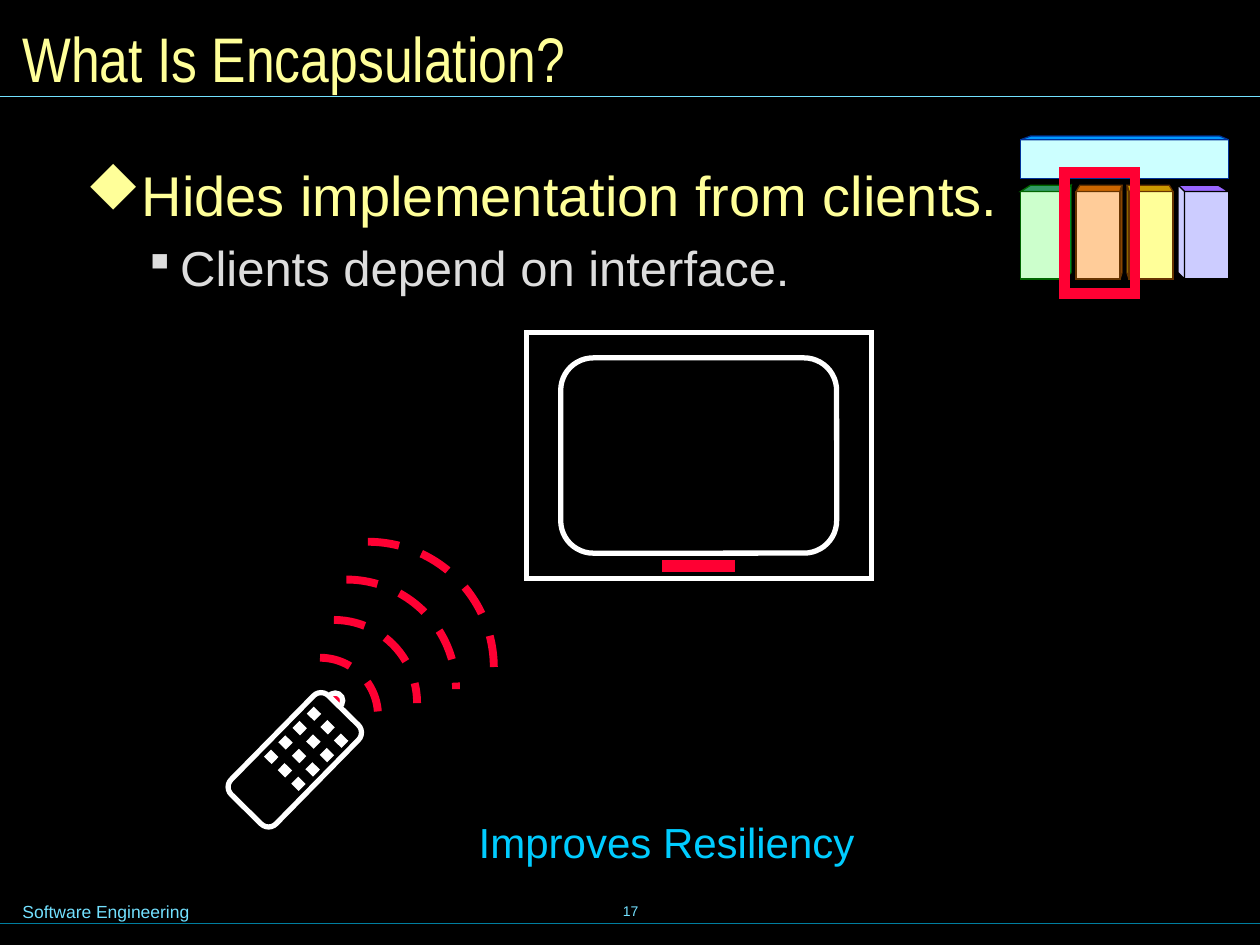
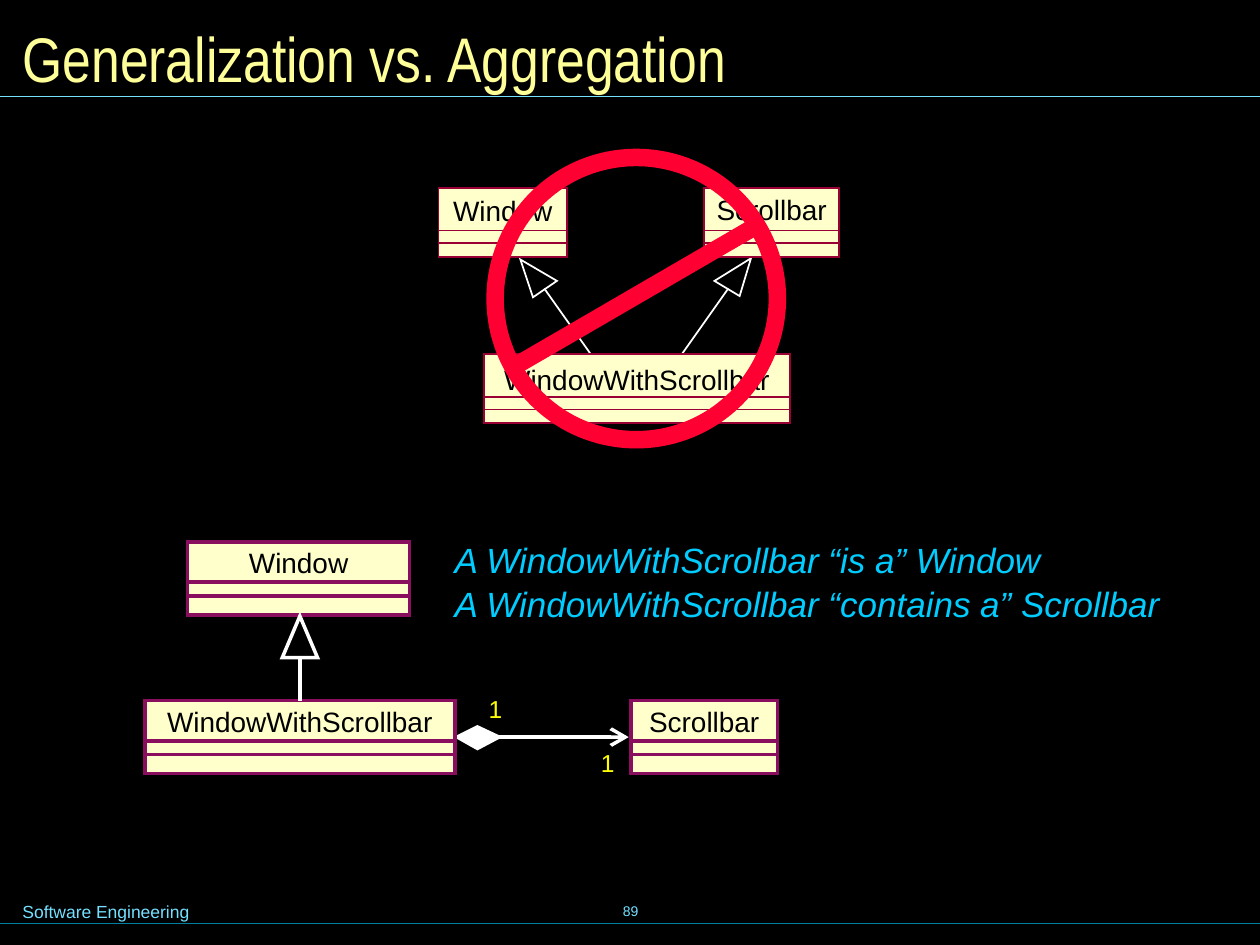
from lxml import etree
from pptx import Presentation
from pptx import util as u
from pptx.dml.color import RGBColor
from pptx.enum import dml, shapes, text
from pptx.oxml import ns

# The slide is a square grid of 100 columns by 75 rows.
COLS, ROWS = 100, 75
CELL = u.Inches(0.1)

BLACK = RGBColor(0x00, 0x00, 0x00)
WHITE = RGBColor(0xFF, 0xFF, 0xFF)
RED = RGBColor(0xFF, 0x00, 0x33)
CYAN = RGBColor(0x00, 0xCC, 0xFF)
SKY = RGBColor(0x73, 0xE1, 0xFF)
TEAL = RGBColor(0x00, 0x7E, 0x9F)
PALE = RGBColor(0xFF, 0xFF, 0x99)
GREY = RGBColor(0xDD, 0xDD, 0xDD)
CREAM = RGBColor(0xFF, 0xFF, 0xCC)
YELLOW = RGBColor(0xFF, 0xFF, 0x00)
WINE = RGBColor(0x99, 0x00, 0x33)
PLUM = RGBColor(0x8A, 0x0E, 0x5E)
NAVY = RGBColor(0x00, 0x33, 0x99)
BLUE = RGBColor(0x00, 0x99, 0xFF)
ICE = RGBColor(0xCC, 0xFF, 0xFF)
BROWN = RGBColor(0x66, 0x33, 0x00)

# Pillar colours: front, top, side, edge
GREEN = (RGBColor(0xCC, 0xFF, 0xCC), RGBColor(0x33, 0x99, 0x66),
         RGBColor(0x00, 0xCC, 0x66), RGBColor(0x00, 0x66, 0x00))
PEACH = (RGBColor(0xFF, 0xCC, 0x99), RGBColor(0xCC, 0x66, 0x00),
         RGBColor(0xCC, 0x66, 0x00), BROWN)
GOLD = (PALE, RGBColor(0xCC, 0x99, 0x00), RGBColor(0xCC, 0xCC, 0x00), BROWN)
LILAC = (RGBColor(0xCC, 0xCC, 0xFF), RGBColor(0x99, 0x66, 0xFF),
         RGBColor(0xCC, 0xCC, 0xFF), BLACK)

# Wingdings codes of the bullet marks
DIAMOND, SQUARE = "u", "§"

KIND = shapes.MSO_SHAPE
LEFT, MID = text.PP_ALIGN.LEFT, text.PP_ALIGN.CENTER


def grid(*cells):
    return [u.Emu(round(c * CELL)) for c in cells]


def paint(shape, fill, line, wide):
    """Set fill and line, with sharp corners."""
    shape.shadow.inherit = False
    if fill is None:
        shape.fill.background()
    else:
        shape.fill.solid()
        shape.fill.fore_color.rgb = fill
    shape.line.color.rgb = line
    shape.line.width = u.Pt(wide)
    etree.SubElement(shape._element.spPr.find(ns.qn("a:ln")),
                     ns.qn("a:miter"), lim="800000")
    return shape


def draw(slide, kind, at, fill=None, line=WHITE, wide=1, turn=0):
    shape = slide.shapes.add_shape(kind, *grid(*at))
    shape.rotation = turn
    return paint(shape, fill, line, wide)


def poly(slide, points, fill=None, line=WHITE, wide=1):
    first, *rest = [grid(*p) for p in points]
    path = slide.shapes.build_freeform(*first, scale=1.0)
    path.add_line_segments(rest, close=True)
    return paint(path.convert_to_shape(), fill, line, wide)


def rule(slide, start, end, color, wide, arrow=False):
    line = slide.shapes.add_connector(
        shapes.MSO_CONNECTOR.STRAIGHT, *grid(*start, *end))
    line.line.color.rgb = color
    line.line.width = u.Pt(wide)
    props = line._element.spPr
    if arrow:
        etree.SubElement(props.find(ns.qn("a:ln")), ns.qn("a:tailEnd"),
                         type="arrow", w="lg", len="lg")
    etree.SubElement(props, ns.qn("a:effectLst"))


def style(para, size, color, name="Arial", italic=False):
    font = para.font
    font.name, font.size, font.italic = name, u.Pt(size), italic
    font.color.rgb = color


def write(slide, at, lines, size, color, align=LEFT, pad=(1, 0.5),
          name="Arial", italic=False, middle=False, space=None):
    frame = slide.shapes.add_textbox(*grid(*at)).text_frame
    frame.word_wrap = True
    frame.margin_left = frame.margin_right = grid(pad[0])[0]
    frame.margin_top = frame.margin_bottom = grid(pad[1])[0]
    if middle:
        frame.vertical_anchor = text.MSO_ANCHOR.MIDDLE
    frame.text = "\n".join(lines)
    for para in frame.paragraphs:
        para.alignment = align
        para.line_spacing = space
        style(para, size, color, name, italic)
    return frame


def bullet(para, mark, color, margin, hang):
    props = para._p.get_or_add_pPr()
    props.set("marL", str(grid(margin)[0]))
    props.set("indent", str(grid(-hang)[0]))
    tint = etree.Element(ns.qn("a:buClr"))
    etree.SubElement(tint, ns.qn("a:srgbClr"), val=str(color))
    face = etree.Element(ns.qn("a:buFont"), typeface="Wingdings",
                         pitchFamily="2", charset="2")
    sign = etree.Element(ns.qn("a:buChar"), char=mark)
    font = props.find(ns.qn("a:defRPr"))
    for part in (tint, face, sign):
        font.addprevious(part)


def page(deck, title, number):
    slide = deck.slides.add_slide(deck.slide_layouts[6])
    slide.background.fill.solid()
    slide.background.fill.fore_color.rgb = BLACK
    write(slide, (34.2, 69.8, 31.7, 5), [number], 8, SKY, MID, middle=True)
    rule(slide, (0, 73.3), (COLS, 73.3), TEAL, 0.75)
    rule(slide, (0, 7.64), (COLS, 7.64), SKY, 0.75)
    write(slide, (0.8, 71, 29.5, 2.7), ["Software Engineering"], 10, SKY)
    write(slide, (0.8, 0.8, 98.4, 7.5), [title], 36, PALE,
          name="Arial Narrow", middle=True)
    return slide


def points(slide):
    frame = write(slide, (5.6, 13.2, 92.8, 16),
                  ["Hides implementation from clients.",
                   "Clients depend on interface."], 32, PALE, pad=(1.2, 0.6))
    main, sub = frame.paragraphs
    main.line_spacing, sub.line_spacing = 0.8, 0.87
    sub.space_before = u.Pt(10.5)
    bullet(main, DIAMOND, PALE, 3.7, 3.7)
    bullet(sub, SQUARE, GREY, 7.5, 2.5)
    style(sub, 28, GREY)


def remote(slide):
    turn = 314.5
    for x, y, r in ((25.4, 52.2, 4.6), (26.5, 49.2, 6.6),
                    (27.5, 46, 8.7), (29.2, 43, 10)):
        wave = draw(slide, KIND.ARC, (x - r, y, 2 * r, 2 * r),
                    line=RED, wide=4.5)
        wave.line.dash_style = dml.MSO_LINE.DASH
    draw(slide, KIND.OVAL, (26, 55, 1.2, 1.2), RED, wide=3)
    draw(slide, KIND.ROUNDED_RECTANGLE, (17.9, 57.8, 11, 5), BLACK,
         wide=3, turn=turn)
    for row in range(4):
        for col in range(3):
            key = (24.6 + 1.08 * col - 1.13 * row,
                   56.3 + 1.07 * col + 1.14 * row, 0.65, 0.7)
            draw(slide, KIND.RECTANGLE, key, WHITE, turn=turn)


def screen(slide):
    draw(slide, KIND.RECTANGLE, (41.8, 26.4, 27.4, 19.5), wide=3)
    draw(slide, KIND.ROUNDED_RECTANGLE, (44.5, 28.4, 21.9, 15.5), wide=3)
    draw(slide, KIND.RECTANGLE, (52.7, 44.6, 5.5, 0.7), RED, RED, 2)


def pillar(slide, x, depth, inset, colors):
    """Block seen from the front; a negative depth shows its left side."""
    front, top, side, edge = colors
    y, w, h, rise = 15.2, 3.5, 6.95, 0.5
    near, far = (x + w, x) if depth > 0 else (x, x + w)
    lean = inset if depth > 0 else -inset
    draw(slide, KIND.RECTANGLE, (x, y, w, h), front, edge, 0.75)
    poly(slide, [(far, y), (far + lean, y - rise),
                 (near + depth, y - rise), (near, y)], top, edge, 0.75)
    poly(slide, [(near + depth, y - rise), (near, y), (near, y + h),
                 (near + depth, y + h - rise)], side, edge, 0.75)


def temple(slide):
    pillar(slide, 81, 0.5, 0.8, GREEN)
    pillar(slide, 94, -0.5, 0.8, LILAC)
    draw(slide, KIND.RECTANGLE, (81, 11.1, 16.5, 3.1), ICE, NAVY, 0.75)
    poly(slide, [(97.5, 11.1), (96.8, 10.8), (81.8, 10.8), (81, 11.1)],
         BLUE, NAVY, 0.75)
    pillar(slide, 85.4, 0.15, 0.3, PEACH)
    pillar(slide, 89.6, -0.15, 0.3, GOLD)
    draw(slide, KIND.RECTANGLE, (84.5, 13.7, 5.6, 9.6), line=RED, wide=6)


def entity(slide, at, name, cuts, color, wide, drop):
    """Class box: name on top, a line at each cut below."""
    x, y, w, _ = at
    draw(slide, KIND.RECTANGLE, at, CREAM, color, wide)
    write(slide, (x, y + drop, w, 2.7), [name], 16, BLACK, MID, pad=(0, 0))
    for cut in cuts:
        rule(slide, (x, y + cut), (x + w, y + cut), color, wide)


def banned(slide):
    for tip, side, base, start, end in (
            ((59.6, 20.5), (58.7, 23.5), (56.7, 22.3), (57.8, 22.9), (52, 31.1)),
            ((41.3, 20.6), (42.3, 23.6), (44.2, 22.3), (43.2, 22.9), (49, 31.1))):
        poly(slide, [tip, side, base])
        rule(slide, start, end, WHITE, 1)
    for name, x, y, w, drop in (("Window", 34.8, 14.9, 10.2, 0.5),
                                ("WindowWithScrollbar", 38.4, 28.1, 24.3, 0.7),
                                ("Scrollbar", 55.9, 14.9, 10.7, 0.4)):
        entity(slide, (x, y, w, 5.5), name, (3.4, 4.4), WINE, 1, drop)
    draw(slide, KIND.OVAL, (39.3, 12.5, 22.4, 22.4), line=RED, wide=10)
    rule(slide, (40.8, 29.1), (59.9, 18), RED, 10)


def allowed(slide):
    rule(slide, (39.5, 58.5), (49.9, 58.5), WHITE, 2, arrow=True)
    poly(slide, [(36.3, 58.5), (37.9, 59.4), (39.6, 58.5), (37.9, 57.7)],
         WHITE, wide=2)
    for name, x, y, w in (("Scrollbar", 50.1, 55.6, 11.6),
                          ("Window", 14.9, 43, 17.6),
                          ("WindowWithScrollbar", 11.5, 55.6, 24.6)):
        entity(slide, (x, y, w, 5.8), name, (3.2, 4.3), PLUM, 2, 0.3)
    rule(slide, (23.8, 55.6), (23.8, 52.2), WHITE, 2)
    poly(slide, [(23.8, 48.9), (25.2, 52.2), (22.4, 52.2)], wide=2)
    for x, y in ((46.7, 58.9), (37.8, 54.6)):
        write(slide, (x, y, 3.1, 3.3), ["1"], 14, YELLOW)


def main():
    deck = Presentation()
    deck.slide_width, deck.slide_height = grid(COLS, ROWS)

    hiding = page(deck, "What Is Encapsulation?", "17")
    write(hiding, (30, 64.2, 45.8, 5.2), ["Improves Resiliency"], 24, CYAN,
          MID, pad=(1.2, 0.6))
    points(hiding)
    remote(hiding)
    screen(hiding)
    temple(hiding)

    versus = page(deck, "Generalization vs. Aggregation", "89")
    banned(versus)
    allowed(versus)
    write(versus, (35.1, 42.1, 62, 7.7),
          ["A WindowWithScrollbar “is a” Window",
           "A WindowWithScrollbar “contains a” Scrollbar"],
          20, CYAN, italic=True, space=1.05)

    deck.save("out.pptx")


if __name__ == "__main__":
    main()
